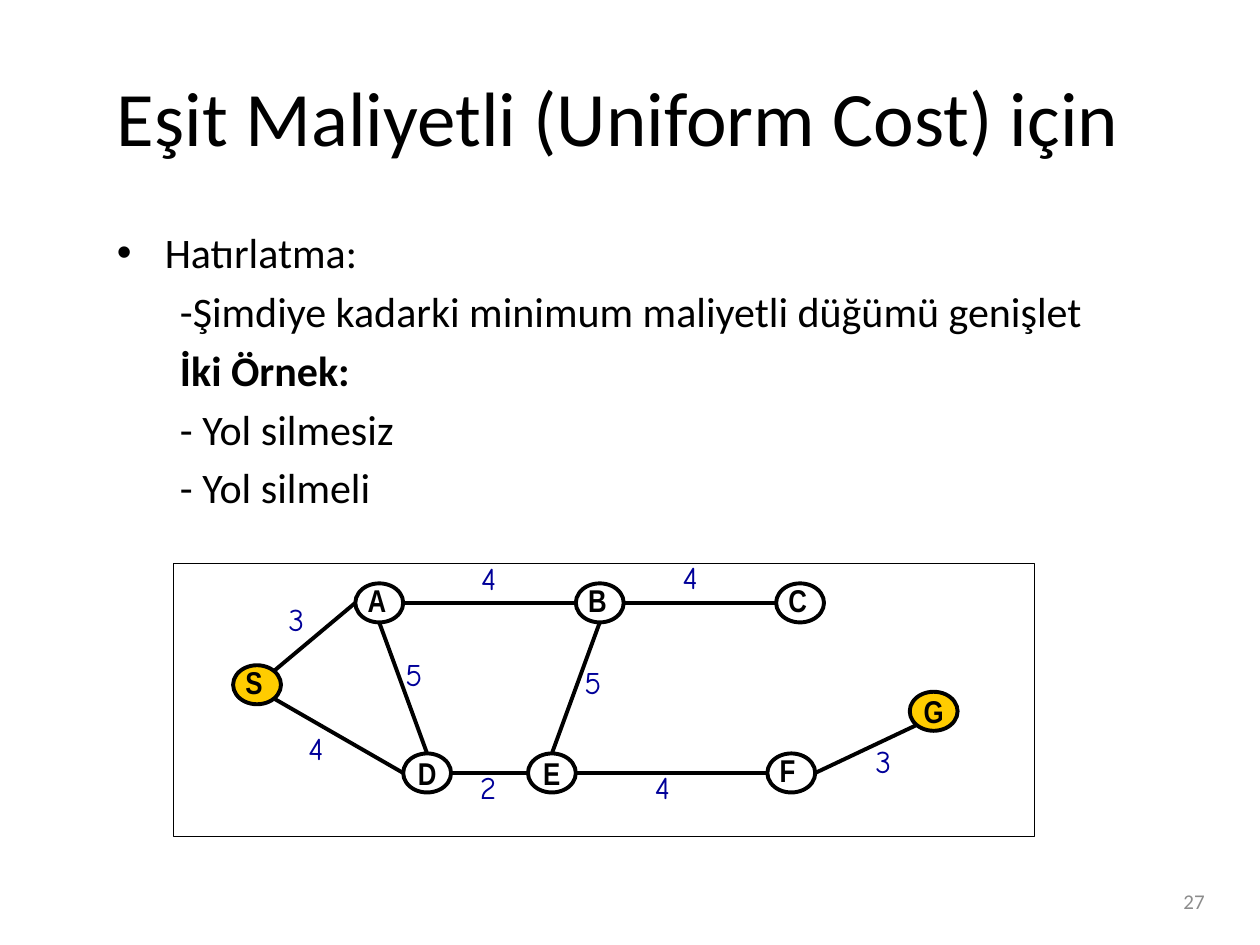
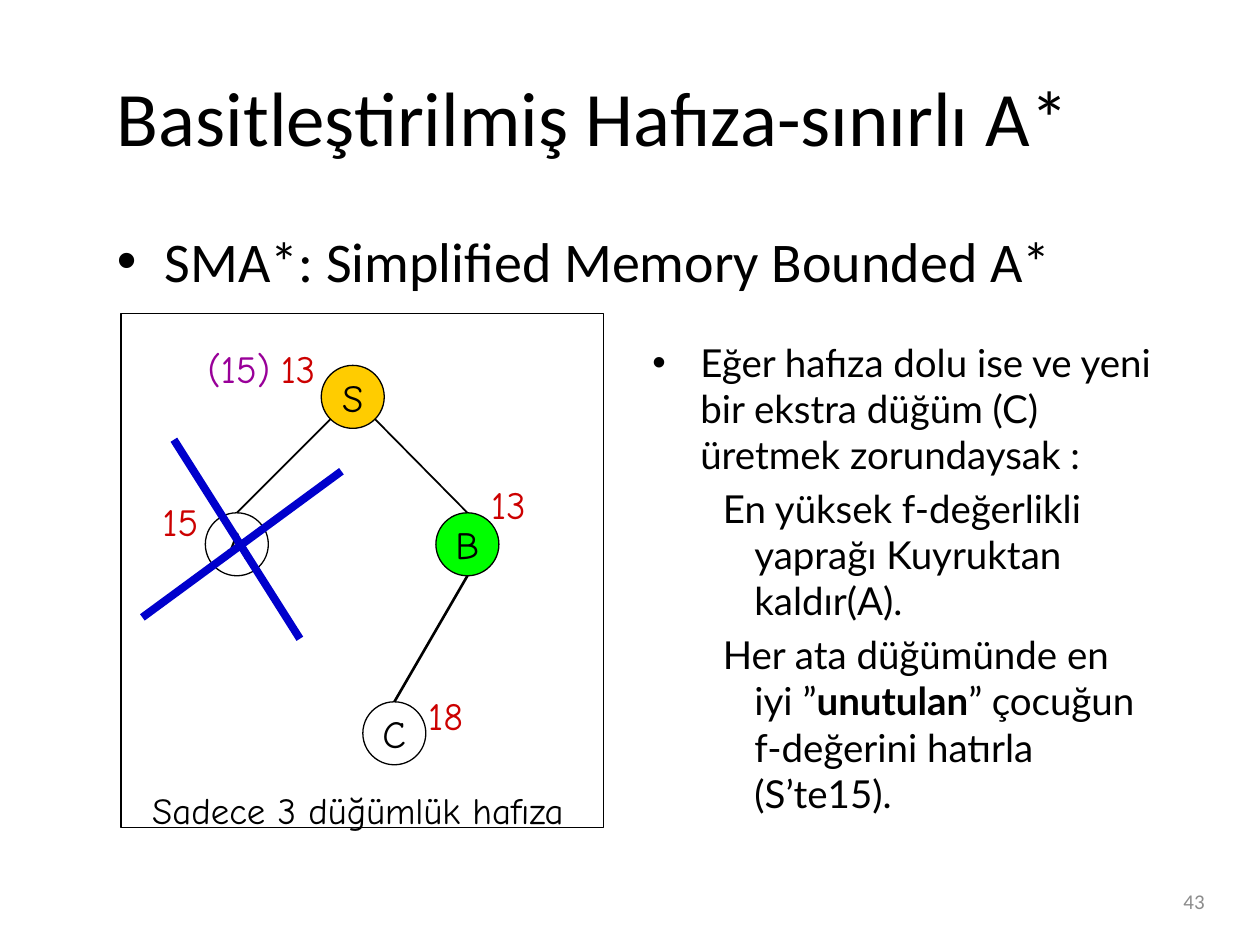
from lxml.etree import SubElement
from pptx import Presentation
from pptx.dml.color import RGBColor
from pptx.enum.shapes import MSO_CONNECTOR, MSO_SHAPE
from pptx.enum.text import MSO_ANCHOR, MSO_AUTO_SIZE, PP_ALIGN
from pptx.oxml.ns import qn
from pptx.util import Inches, Pt

COLORS = {
    "ink": "000000", "paper": "FFFFFF", "number": "8C8C8C", "gold": "FFCC00",
    "green": "00FF00", "cost": "000099", "value": "CC0000",
    "backup": "990099", "cross": "0000CC",
}
COLUMNS, ROWS = 100, 75
BODY = (8.3, 17.5, 88.3, 47)
# Share of a node's width and height at which an edge meets it
SIDES = {
    "top": (0.5, 0), "left": (0, 0.5), "bottom": (0.5, 1), "right": (1, 0.5),
    "top right": (0.85, 0.15), "bottom right": (0.85, 0.85),
    "bottom left": (0.15, 0.85),
}
# Paragraph levels: left margin, first-line indent (inches), bullet
BULLET = (0.38, -0.38, "•")
SUB = (0.81, -0.31, None)
SUB_INSET = (0.81, -0.25, None)


class Deck:
    def __init__(self):
        self.prs = Presentation()
        self.prs.slide_width, self.prs.slide_height = Inches(10), Inches(7.5)
        self.s = None

    def x(self, columns):
        return round(self.prs.slide_width * columns / COLUMNS)

    def y(self, rows):
        return round(self.prs.slide_height * rows / ROWS)

    def box(self, left, top, width, height):
        return self.x(left), self.y(top), self.x(width), self.y(height)

    def slide(self, title, number):
        self.s = self.prs.slides.add_slide(self.prs.slide_layouts[6])
        self.text((73.3, 69.5, 23.3, 4), number, 12, color="number",
                  align=PP_ALIGN.RIGHT, anchor=MSO_ANCHOR.MIDDLE)
        self.text((8.3, 2.9, 88.3, 12.5), title, 44, anchor=MSO_ANCHOR.MIDDLE)

    def run(self, p, text, size, font, color, bold=False):
        r = p.add_run()
        r.text = text
        r.font.size, r.font.name, r.font.bold = Pt(size), font, bold
        r.font.color.rgb = RGBColor.from_string(COLORS[color])

    def text(self, box, text, size, font="Calibri", color="ink", bold=False,
             align=PP_ALIGN.LEFT, anchor=MSO_ANCHOR.TOP):
        tf = self.s.shapes.add_textbox(*self.box(*box)).text_frame
        tf.word_wrap, tf.vertical_anchor = True, anchor
        p = tf.paragraphs[0]
        p.alignment = align
        self.run(p, text, size, font, color, bold)
        return tf

    def label(self, box, text, size, **style):
        """One line of text in a box that grows with it."""
        tf = self.text(box, text, size, **style)
        tf.word_wrap, tf.auto_size = False, MSO_AUTO_SIZE.SHAPE_TO_FIT_TEXT

    def listing(self, box, paragraphs, size, font="Calibri"):
        """Paragraphs are (level, run, run, ...); a run is (text, bold)."""
        tf = self.s.shapes.add_textbox(*self.box(*box)).text_frame
        tf.word_wrap = True
        for i, ((margin, indent, bullet), *runs) in enumerate(paragraphs):
            p = tf.add_paragraph() if i else tf.paragraphs[0]
            if i:
                p.space_before = Pt(size * 0.2)
            pPr = p._p.get_or_add_pPr()
            pPr.set("marL", str(Inches(margin)))
            pPr.set("indent", str(Inches(indent)))
            if bullet:
                SubElement(pPr, qn("a:buFont")).set("typeface", "Arial")
                SubElement(pPr, qn("a:buChar")).set("char", bullet)
            for text, bold in runs:
                self.run(p, text, size, font, "ink", bold)

    def shape(self, kind, box, fill="paper", weight=0.75):
        sp = self.s.shapes.add_shape(kind, *self.box(*box))
        sp.shadow.inherit = False
        sp.fill.solid()
        sp.fill.fore_color.rgb = RGBColor.from_string(COLORS[fill])
        sp.line.color.rgb = RGBColor.from_string(COLORS["ink"])
        sp.line.width = Pt(weight)
        return sp

    def frame(self, *box):
        self.shape(MSO_SHAPE.RECTANGLE, box)

    def node(self, box, fill, weight, name=None, size=18, font="Calibri", bold=False):
        tf = self.shape(MSO_SHAPE.OVAL, box, fill, weight).text_frame
        tf.word_wrap, tf.vertical_anchor = False, MSO_ANCHOR.MIDDLE
        if name:
            p = tf.paragraphs[0]
            p.alignment = PP_ALIGN.CENTER
            self.run(p, name, size, font, "ink", bold)

    def line(self, start, end, weight, color="ink"):
        cn = self.s.shapes.add_connector(
            MSO_CONNECTOR.STRAIGHT, self.x(start[0]), self.y(start[1]),
            self.x(end[0]), self.y(end[1]))
        cn.line.color.rgb = RGBColor.from_string(COLORS[color])
        cn.line.width = Pt(weight)
        SubElement(cn._element.spPr, qn("a:effectLst"))

    def edge(self, start, start_side, end, end_side, size, weight):
        """Line between two nodes of one size, given by their top-left corners."""
        ends = [tuple(at + share * length for at, share, length
                      in zip(corner, SIDES[side], size))
                for corner, side in ((start, start_side), (end, end_side))]
        self.line(*ends, weight)


def uniform_cost_slide(deck):
    deck.slide("Eşit Maliyetli (Uniform Cost) için", "27")
    deck.listing(BODY, [
        (BULLET, ("Hatırlatma:", False)),
        (SUB, ("-Şimdiye kadarki minimum maliyetli düğümü genişlet", False)),
        (SUB, ("İki Örnek:", True)),
        (SUB, ("- Yol silmesiz", False)),
        (SUB, ("- Yol silmeli", False)),
    ], 24)
    deck.frame(13.8, 44.7, 68.3, 21.7)

    size, weight = (3.8, 3.1), 2.25
    upper, lower = 46.3, 59.8
    nodes = {
        "S": (18.5, 52.8), "A": (28.2, upper), "B": (45.7, upper),
        "C": (61.6, upper), "D": (32, lower), "E": (41.9, lower),
        "F": (60.9, lower), "G": (72.2, 54.9),
    }
    name_style = {"font": "Arial Narrow", "bold": True}
    for name, corner in nodes.items():
        centred = name in "DEG"
        deck.node((*corner, *size), "gold" if name in "SG" else "paper", weight,
                  name if centred else None, **name_style)
        if not centred:
            left, top = corner
            deck.label((left, top - 0.7, 4, 5), name, 18, **name_style)
    # Each edge with the place of its cost
    for start, start_side, end, end_side, cost, left, top in (
        ("S", "top right", "A", "left", "3", 21.9, 47.1),
        ("S", "bottom right", "D", "left", "4", 23.5, 57.4),
        ("A", "right", "B", "left", "4", 37.2, 43.9),
        ("B", "right", "C", "left", "4", 53.2, 43.8),
        ("A", "bottom", "D", "top", "5", 31.2, 51.5),
        ("B", "bottom", "E", "top", "5", 45.4, 52.1),
        ("D", "right", "E", "left", "2", 37.1, 60.5),
        ("E", "right", "F", "left", "4", 51, 60.5),
        ("F", "right", "G", "bottom left", "3", 68.5, 58.4),
    ):
        deck.edge(nodes[start], start_side, nodes[end], end_side, size, weight)
        deck.label((left, top, 4, 5), cost, 18, font="Comic Neue", color="cost")


def memory_bounded_slide(deck):
    deck.slide("Basitleştirilmiş Hafıza-sınırlı A*", "43")
    deck.listing(BODY, [(BULLET, ("SMA*: Simplified Memory Bounded A*", False))], 32)
    deck.frame(9.6, 24.9, 38.3, 40.8)

    size = (5, 5)
    nodes = {"S": (25.5, 29), "A": (16.3, 40.7), "B": (34.6, 40.7), "C": (28.8, 55.7)}
    fills = {"S": "gold", "B": "green"}
    for name, corner in nodes.items():
        deck.node((*corner, *size), fills.get(name, "paper"), 0.75, name, 22, "Comic Neue")
    for start, side, end, weight in (
        ("S", "bottom left", "A", 1), ("S", "bottom right", "B", 1),
        ("B", "bottom", "C", 1.5),
    ):
        deck.edge(nodes[start], side, nodes[end], "top", size, weight)
    for value, left, top, width, color in (
        ("(15)", 15.5, 26.9, 7.5, "backup"), ("13", 21.3, 26.9, 5.2, "value"),
        ("15", 11.9, 39, 5.2, "value"), ("13", 38, 37.7, 5.2, "value"),
        ("18", 33, 54.4, 5.2, "value"),
    ):
        deck.label((left, top, width, 4.7), value, 22, font="Comic Neue", color=color)
    deck.label((11.1, 62, 37.3, 4.5), "Sadece 3 düğümlük hafıza", 21, font="Comic Neue")
    for start, end in (((13.8, 34.9), (23.8, 50.7)), ((27.1, 37.4), (11.3, 49))):
        deck.line(start, end, 4.5, "cross")

    deck.listing((50.8, 26.4, 41.7, 45), [
        (BULLET, ("Eğer hafıza dolu ise ve yeni bir ekstra düğüm (C) "
                  "üretmek zorundaysak :", False)),
        (SUB_INSET, ("En yüksek f-değerlikli yaprağı Kuyruktan kaldır(A).", False)),
        (SUB_INSET, ("Her ata düğümünde en iyi ”", False), ("unutulan", True),
         ("” çocuğun f-değerini hatırla (S’te15).", False)),
    ], 22, "Lato")


def main():
    deck = Deck()
    uniform_cost_slide(deck)
    memory_bounded_slide(deck)
    deck.prs.save("out.pptx")


if __name__ == "__main__":
    main()
